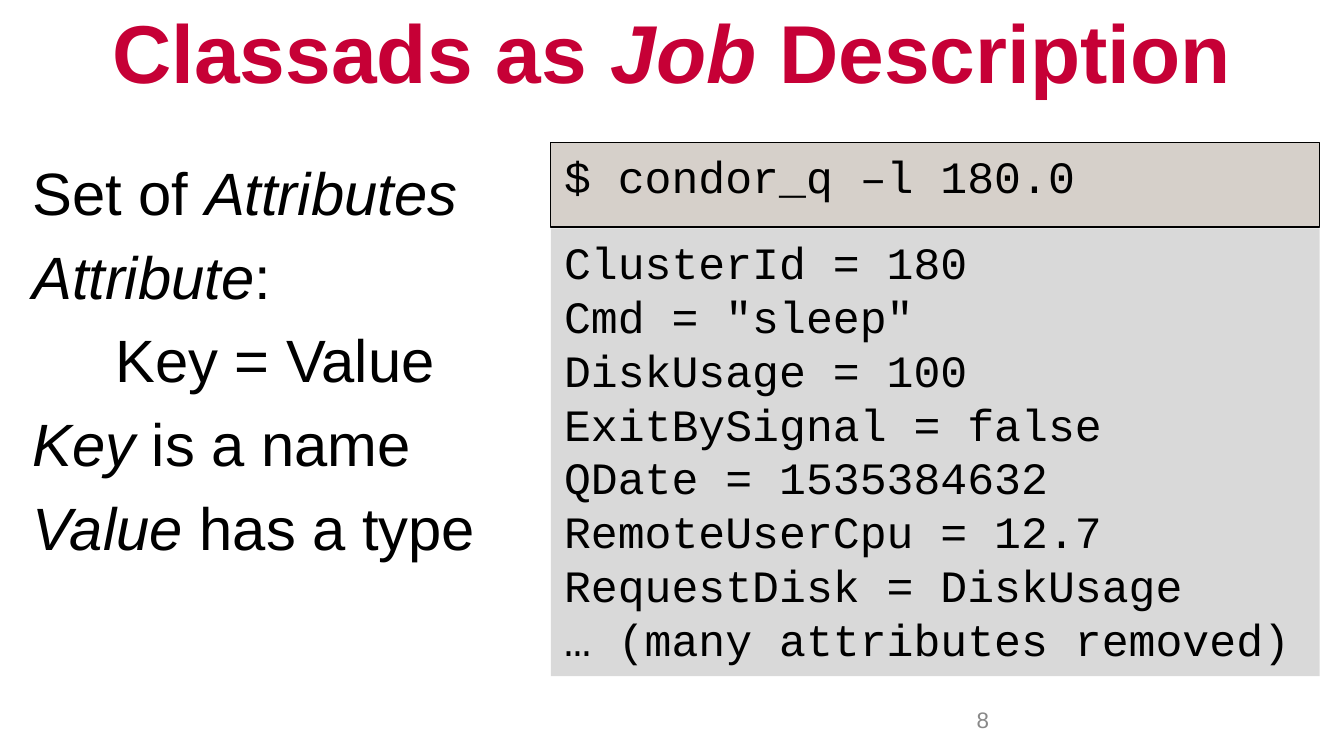
from lxml.etree import SubElement
from pptx import Presentation
from pptx.dml.color import RGBColor
from pptx.enum.shapes import MSO_SHAPE
from pptx.enum.text import MSO_ANCHOR, PP_ALIGN
from pptx.oxml.ns import qn
from pptx.util import Cm, Pt

COLORS = {"red": "C60036", "black": "000000", "gray": "898989",
          "light": "D9D9D9", "sand": "D6D0CA"}


def paint(target, name):
    """Set a font, fill or line colour by its name."""
    target.rgb = RGBColor.from_string(COLORS[name])


def write(shape, lines, color, **style):
    """Fill a shape with lines; text between asterisks is italic."""
    frame = shape.text_frame
    frame.word_wrap = True
    frame.vertical_anchor = MSO_ANCHOR.TOP
    for i, line in enumerate(lines):
        para = frame.add_paragraph() if i else frame.paragraphs[0]
        para.alignment = PP_ALIGN.LEFT
        for j, part in enumerate(line.split("*")):
            if part:
                run = para.add_run()
                run.text = part
                run.font.italic = j % 2 == 1
                paint(run.font.color, color)
                for key, value in style.items():
                    setattr(run.font, key, value)
    return frame


deck = Presentation()
deck.slide_width, deck.slide_height = Cm(25.4), Cm(14.29)
shapes = deck.slides.add_slide(deck.slide_layouts[6]).shapes

# Left: what a classad is
body = shapes.add_textbox(Cm(0.36), Cm(2.82), Cm(9.25), Cm(8.81))
facts = ["Set of *Attributes*", "*Attribute*:", "Key = Value",
         "*Key* is a name", "*Value *has a type"]
frame = write(body, facts, "black", name="Arial", size=Pt(32))
for para in frame.paragraphs:
    props = para._p.get_or_add_pPr()
    space = SubElement(props, qn("a:spcBef"))
    SubElement(space, qn("a:spcPct"), val="20000")
    if para.text.startswith("Key ="):
        props.set("marL", str(Cm(1.57)))

title = shapes.add_textbox(Cm(0), Cm(0), Cm(25.4), Cm(1.9))
frame = write(title, ["Classads as *Job* Description"], "red",
              name="Arial", size=Pt(44), bold=True)
frame.vertical_anchor = MSO_ANCHOR.MIDDLE
frame.paragraphs[0].alignment = PP_ALIGN.CENTER

number = shapes.add_textbox(Cm(18.21), Cm(13.23), Cm(5.92), Cm(0.76))
write(number, ["8"], "gray", name="Arial", size=Pt(12))

# Right: command and its output
output = ["ClusterId = 180", 'Cmd = "sleep"', "DiskUsage = 100",
          "ExitBySignal = false", "QDate = 1535384632",
          "RemoteUserCpu = 12.7", "RequestDisk = DiskUsage",
          "… (many attributes removed)"]
panels = [(4.32, 8.46, "light", None, output),
          (2.69, 1.6, "sand", "black", ["$ condor_q –l 180.0"])]
for top, height, fill, edge, lines in panels:
    panel = shapes.add_shape(MSO_SHAPE.RECTANGLE, Cm(10.41), Cm(top),
                             Cm(14.53), Cm(height))
    panel.shadow.inherit = False
    panel.fill.solid()
    paint(panel.fill.fore_color, fill)
    if edge:
        paint(panel.line.color, edge)
        panel.line.width = Pt(0.75)
    else:
        panel.line.fill.background()
    write(panel, lines, "black", name="Courier New", size=Pt(24))

deck.save("out.pptx")
